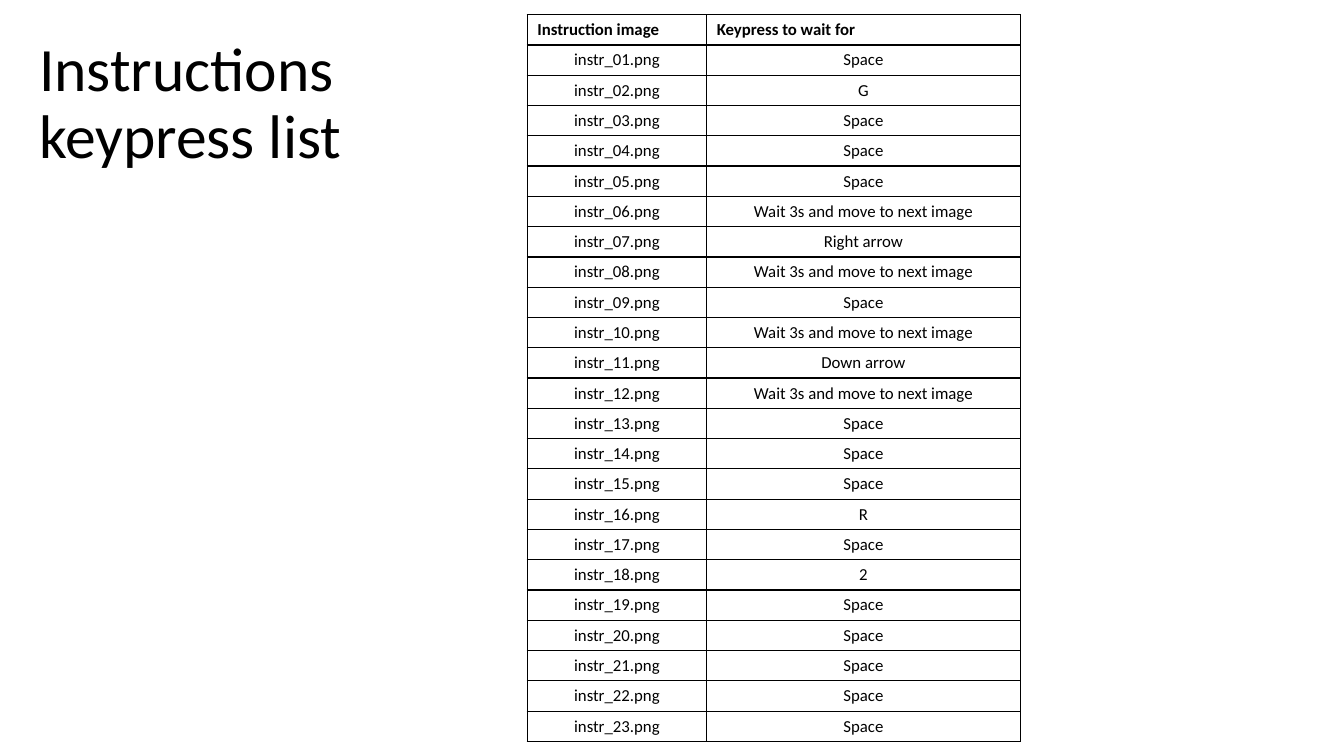
from dataclasses import dataclass

from lxml import etree
from pptx import Presentation
from pptx.dml.color import RGBColor
from pptx.enum import text as t
from pptx.oxml import ns
from pptx.util import Pt


@dataclass(frozen=True)
class Theme:
    font: str = "Calibri"
    ink: str = "000000"
    title: int = 44
    body: int = 12
    rule: int = 1


THEME = Theme()
HEADS = ("Instruction image", "Keypress to wait for")
WAIT = "Wait 3s and move to next image"
COUNT = 23
# Every image not listed here waits for Space
KEYS = {2: "G", 6: WAIT, 7: "Right arrow", 8: WAIT, 10: WAIT,
        11: "Down arrow", 12: WAIT, 16: "R", 18: "2"}


def style(para, size, bold=False):
    for run in para.runs:
        font = run.font
        font.name, font.size, font.bold = THEME.font, Pt(size), bold
        font.color.rgb = RGBColor.from_string(THEME.ink)


def add_title(slide, words, left, top, width, height):
    box = slide.shapes.add_textbox(Pt(left), Pt(top), Pt(width), Pt(height))
    frame = box.text_frame
    frame.word_wrap = True
    frame.vertical_anchor = t.MSO_ANCHOR.MIDDLE
    frame.text = words
    para = frame.paragraphs[0]
    para.line_spacing = 0.9
    style(para, THEME.title)


def add_rules(cell):
    props = cell._tc.get_or_add_tcPr()
    for side in ("lnL", "lnR", "lnT", "lnB"):
        line = etree.SubElement(props, ns.qn(f"a:{side}"), w=str(Pt(THEME.rule)))
        fill = etree.SubElement(line, ns.qn("a:solidFill"))
        etree.SubElement(fill, ns.qn("a:srgbClr"), val=THEME.ink)


def fill_cell(cell, words, head):
    add_rules(cell)
    cell.fill.background()
    cell.text_frame.text = words
    para = cell.text_frame.paragraphs[0]
    if not head:
        para.alignment = t.PP_ALIGN.CENTER
    style(para, THEME.body, head)


def add_grid(slide, rows, left, top, widths, pitch):
    frame = slide.shapes.add_table(
        len(rows), len(widths), Pt(left), Pt(top),
        Pt(sum(widths)), Pt(pitch * len(rows)))
    table = frame.table
    table.first_row = table.horz_banding = False
    for col, width in zip(table.columns, widths):
        col.width = Pt(width)
    for r, row in enumerate(rows):
        table.rows[r].height = Pt(pitch)
        for c, words in enumerate(row):
            fill_cell(table.cell(r, c), words, r == 0)


def main():
    deck = Presentation()
    deck.slide_width, deck.slide_height = Pt(960), Pt(540)
    slide = deck.slides.add_slide(deck.slide_layouts[6])

    # Heading on the left
    add_title(slide, "Instructions keypress list", 20.8, 23, 240.5, 104.4)

    # Image and key pairs
    rows = [HEADS] + [(f"instr_{n:02}.png", KEYS.get(n, "Space"))
                      for n in range(1, COUNT + 1)]
    add_grid(slide, rows, 376.6, 10.5, (128.2, 223.9), 21)

    deck.save("out.pptx")


if __name__ == "__main__":
    main()
